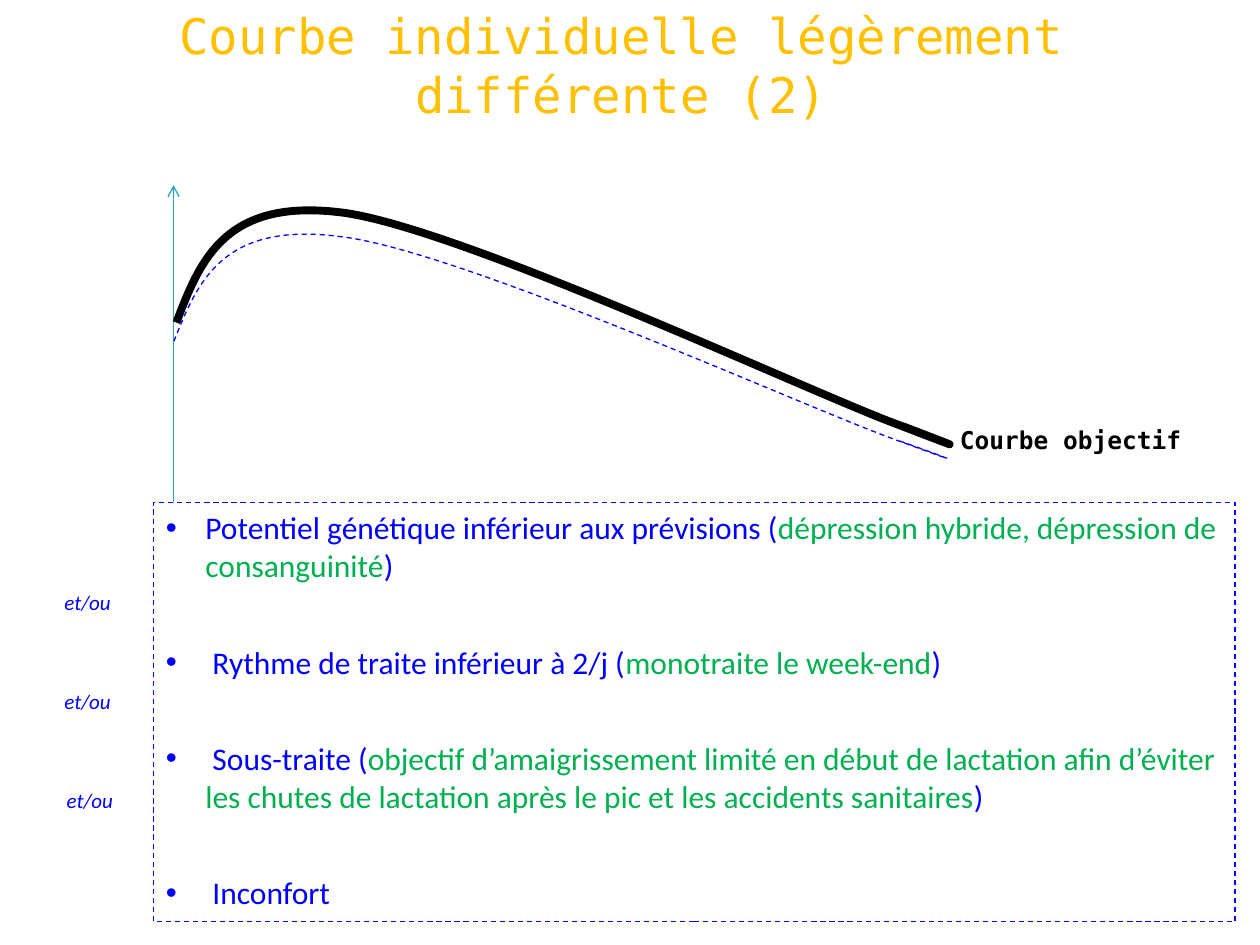
from dataclasses import dataclass
from typing import NamedTuple

from lxml.etree import SubElement
from pptx import Presentation
from pptx.dml.color import RGBColor
from pptx.enum.dml import MSO_LINE
from pptx.enum.shapes import MSO_CONNECTOR, MSO_SHAPE
from pptx.enum.text import MSO_ANCHOR, PP_ALIGN
from pptx.oxml.ns import qn
from pptx.util import Pt


@dataclass(frozen=True)
class Theme:
    gold: str = "FFC000"
    teal: str = "2DA2BF"
    blue: str = "0000FF"
    green: str = "00B050"
    black: str = "000000"
    white: str = "FFFFFF"
    mono: str = "DejaVu Sans Mono"
    sans: str = "Calibri"
    title: int = 28
    body: int = 18
    label: int = 14
    note: int = 12
    thin: float = 0.75
    bold: float = 4.5


class Font(NamedTuple):
    name: str
    size: int
    color: str
    bold: bool = False
    slant: bool = False


class Box(NamedTuple):
    left: float
    top: float
    width: float
    height: float


class Label(NamedTuple):
    text: str
    box: Box
    font: Font
    align: PP_ALIGN = PP_ALIGN.LEFT
    anchor: MSO_ANCHOR = MSO_ANCHOR.TOP
    wrap: bool = True


class Curve(NamedTuple):
    knots: list  # start point, then three points for each cubic arc
    color: str
    width: float
    dash: bool = False


class Cause(NamedTuple):
    lead: str
    detail: str = ""
    tail: str = ""


T = Theme()
INDENT = 22.5
GAP = 33.5

# Text labels
NOTE = Font(T.sans, T.note, T.blue, slant=True)
TITLE = Label("Courbe individuelle légèrement différente (2)", Box(31, 9.2, 648, 55.4),
              Font(T.mono, T.title, T.gold), PP_ALIGN.CENTER, MSO_ANCHOR.MIDDLE)
GOAL = Label("Courbe objectif", Box(541.4, 239.4, 141.8, 24.5),
             Font(T.mono, T.label, T.black, bold=True), wrap=False)
LINKS = [Label("et/ou", Box(left, 333.4 + 56.5 * i, 67.7, 21.6), NOTE, PP_ALIGN.CENTER)
         for i, left in enumerate((16.2, 16.2, 17.5))]

# Lactation curves
CURVES = [
    Curve([(100.8, 184.3), (114.5, 148.3), (128.9, 112.3), (197.3, 121.7),
           (265.7, 131.8), (457.9, 221.8), (511.2, 241.9),
           (563.8, 262.1), (540, 252.7), (515.5, 243.4)], T.black, T.bold),
    Curve([(99.4, 195.1), (113, 160.6), (127.4, 126), (195.8, 135.4),
           (264.2, 144), (456.5, 231.1), (509.8, 250.6),
           (562.3, 270), (538.6, 260.6), (514.1, 252)], T.blue, T.thin, True),
]

# Causes listed in the frame
FRAME = Box(87.8, 287, 618, 239.8)
CAUSES = [
    Cause("Potentiel génétique inférieur aux prévisions (",
          "dépression hybride, dépression de consanguinité", ")"),
    Cause(" Rythme de traite inférieur à 2/j (", "monotraite le week-end", ")"),
    Cause(" Sous-traite (", "objectif d’amaigrissement limité en début de lactation afin "
          "d’éviter les chutes de lactation après le pic et les accidents sanitaires", ")"),
    Cause(" Inconfort"),
]


def pts(box: Box) -> list:
    return [Pt(v) for v in box]


def add_run(para, text: str, font: Font) -> None:
    run = para.add_run()
    run.text = text
    run.font.name, run.font.size = font.name, Pt(font.size)
    run.font.bold, run.font.italic = font.bold, font.slant
    run.font.color.rgb = RGBColor.from_string(font.color)


def set_line(line, color: str, width: float, dash: bool = False) -> None:
    line.color.rgb = RGBColor.from_string(color)
    line.width = Pt(width)
    if dash:
        line.dash_style = MSO_LINE.DASH


def add_label(slide, label: Label) -> None:
    frame = slide.shapes.add_textbox(*pts(label.box)).text_frame
    frame.word_wrap = label.wrap
    frame.vertical_anchor = label.anchor
    para = frame.paragraphs[0]
    para.alignment = label.align
    add_run(para, label.text, label.font)


def add_axis(slide, x: float, base: float, top: float) -> None:
    axis = slide.shapes.add_connector(MSO_CONNECTOR.STRAIGHT, Pt(x), Pt(base), Pt(x), Pt(top))
    set_line(axis.line, T.teal, T.thin)
    SubElement(axis.line._get_or_add_ln(), qn("a:tailEnd"), type="arrow")
    SubElement(axis._element.spPr, qn("a:effectLst"))


def bend(shape) -> None:
    """Turn each three straight segments into one cubic arc."""
    segs = list(shape._element.iter(qn("a:lnTo")))
    for i in range(0, len(segs), 3):
        arc = SubElement(segs[i].getparent(), qn("a:cubicBezTo"))
        for seg in segs[i:i + 3]:
            arc.append(seg[0])
            seg.getparent().remove(seg)


def add_curve(slide, curve: Curve) -> None:
    start, *rest = [(Pt(x), Pt(y)) for x, y in curve.knots]
    pen = slide.shapes.build_freeform(*start)
    pen.add_line_segments(rest, close=False)
    shape = pen.convert_to_shape()
    bend(shape)
    shape.shadow.inherit = False
    shape.fill.background()
    set_line(shape.line, curve.color, curve.width, curve.dash)
    SubElement(shape.line._get_or_add_ln(), qn("a:round"))


def add_causes(slide, box: Box, causes: list) -> None:
    shape = slide.shapes.add_shape(MSO_SHAPE.RECTANGLE, *pts(box))
    shape.shadow.inherit = False
    shape.fill.solid()
    shape.fill.fore_color.rgb = RGBColor.from_string(T.white)
    set_line(shape.line, T.blue, T.thin, True)
    frame = shape.text_frame
    frame.word_wrap = True
    frame.vertical_anchor = MSO_ANCHOR.TOP
    for i, cause in enumerate(causes):
        para = frame.add_paragraph() if i else frame.paragraphs[0]
        para.alignment = PP_ALIGN.LEFT
        para.space_before = Pt(GAP if i else 0)
        props = para._p.get_or_add_pPr()
        props.set("marL", str(Pt(INDENT)))
        props.set("indent", str(-Pt(INDENT)))
        SubElement(props, qn("a:buFont"), typeface="Arial")
        SubElement(props, qn("a:buChar"), char="•")
        for text, color in zip(cause, (T.blue, T.green, T.blue)):
            if text:
                add_run(para, text, Font(T.sans, T.body, color))


def main() -> None:
    deck = Presentation()
    deck.slide_width, deck.slide_height = Pt(720), Pt(540)
    slide = deck.slides.add_slide(deck.slide_layouts[6])
    add_label(slide, TITLE)
    add_label(slide, GOAL)
    add_axis(slide, 99.2, 335.5, 105.8)
    for curve in CURVES:
        add_curve(slide, curve)
    add_causes(slide, FRAME, CAUSES)
    for link in LINKS:
        add_label(slide, link)
    deck.save("out.pptx")


if __name__ == "__main__":
    main()
